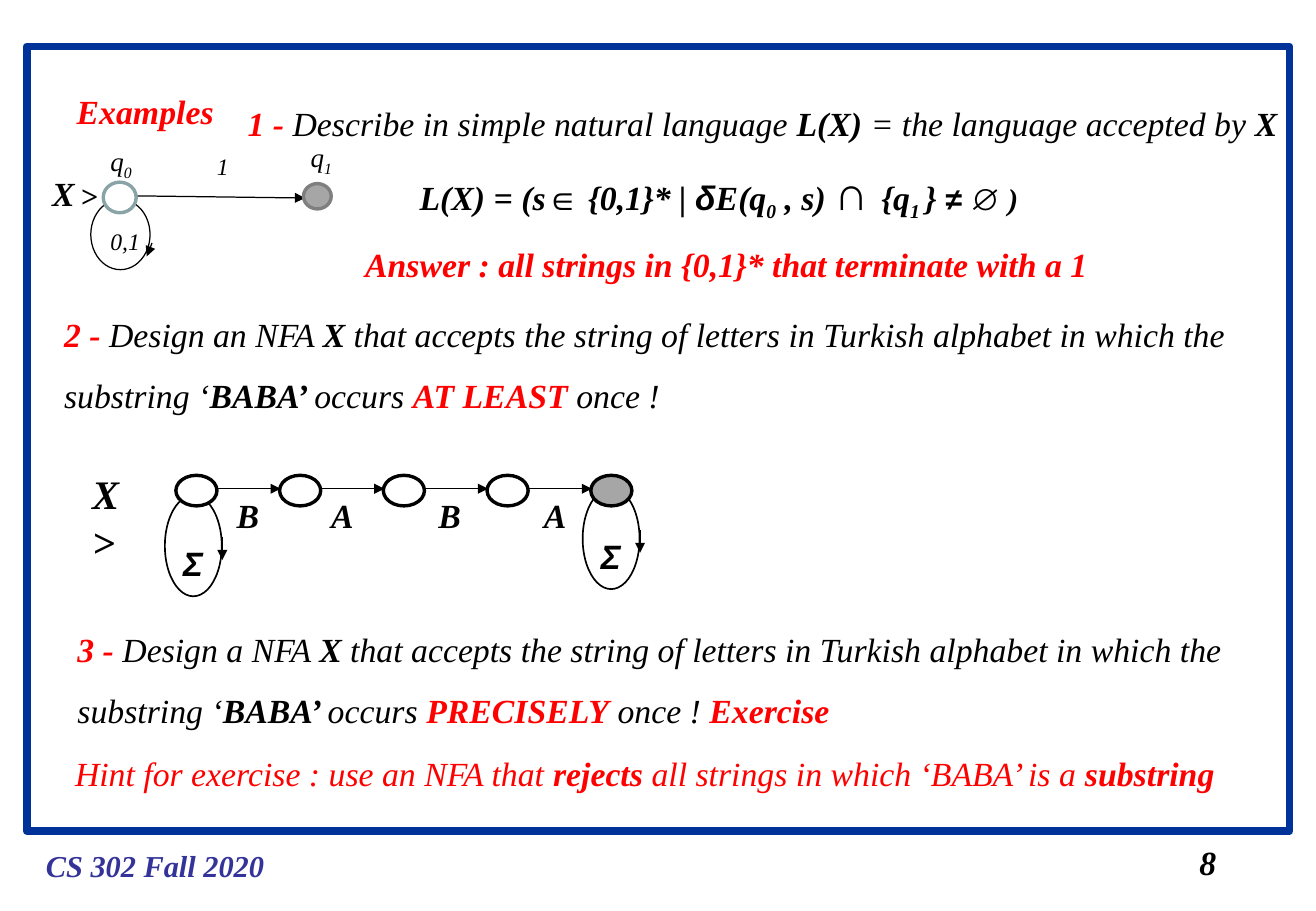
from dataclasses import dataclass

from lxml.etree import SubElement
from pptx import Presentation
from pptx.dml.color import RGBColor
from pptx.enum.shapes import MSO_CONNECTOR, MSO_SHAPE
from pptx.enum.text import MSO_ANCHOR, MSO_AUTO_SIZE, PP_ALIGN
from pptx.oxml.ns import qn
from pptx.util import Cm, Pt


@dataclass(frozen=True)
class Theme:
    serif: str = "Times New Roman"
    sans: str = "Arial"
    black: str = "000000"
    white: str = "FFFFFF"
    red: str = "FF0000"
    frame: str = "003399"
    footer: str = "333399"
    accept: str = "A6A6A6"
    accept_line: str = "7F7F7F"
    start_line: str = "89A4A7"
    small: int = 14
    state: int = 16
    medium: int = 18
    body: int = 20
    large: int = 24
    symbol: int = 28


T = Theme()


def add_text(runs, x, y, w, h, box=None, wrap=False, spacing=None, **base):
    box = box or s.shapes.add_textbox(0, 0, 0, 0)
    box.left, box.top, box.width, box.height = Cm(x), Cm(y), Cm(w), Cm(h)
    tf = box.text_frame
    tf.word_wrap = wrap
    tf.auto_size = MSO_AUTO_SIZE.SHAPE_TO_FIT_TEXT
    tf.vertical_anchor = MSO_ANCHOR.TOP
    p = tf.paragraphs[0]
    p.alignment = PP_ALIGN.LEFT
    if spacing:
        p.line_spacing = spacing
    for text, own in [(runs, {})] if isinstance(runs, str) else runs:
        fmt = dict(size=T.body, font=T.serif, color=T.black, bold=True, italic=True, sub=False) | base | own
        r = p.add_run()
        r.text = text
        r.font.name = fmt["font"]
        r.font.size = Pt(fmt["size"])
        r.font.bold = fmt["bold"]
        r.font.italic = fmt["italic"]
        r.font.color.rgb = RGBColor.from_string(fmt["color"])
        if fmt["sub"]:
            r.font._element.set("baseline", "-25000")


def add_outline(kind, x, y, w, h, line, width, fill=None):
    sp = s.shapes.add_shape(kind, Cm(x), Cm(y), Cm(w), Cm(h))
    sp.shadow.inherit = False
    sp.line.color.rgb = RGBColor.from_string(line)
    sp.line.width = Pt(width)
    if fill:
        sp.fill.solid()
        sp.fill.fore_color.rgb = RGBColor.from_string(fill)
    else:
        sp.fill.background()


prs = Presentation()
prs.slide_width, prs.slide_height = Cm(27.53), Cm(19.05)
s = prs.slides.add_slide(prs.slide_layouts[5])

plain = dict(bold=False)
red = dict(color=T.red)
sans = dict(font=T.sans)
sub = dict(sub=True)
oval = MSO_SHAPE.OVAL

add_outline(MSO_SHAPE.RECTANGLE, 0.56, 0.97, 26.42, 16.41, T.frame, 4.5)
add_text("CS 302 Fall 2020", 0.71, 17.6, 5.08, 1.02, size=T.medium, color=T.footer)
add_text("8", 24.84, 17.48, 0.86, 1.12)
add_text("Examples", 1.35, 1.78, 3.38, 1.12, box=s.shapes.title, color=T.red)

state_xs = [3.68 + 2.17 * i for i in range(5)]
sigma_loops = [(3.45, 10.36), (12.19, 10.21)]

arrows = [(2.39, 4.09, 6.38, 4.14), (3.18, 5.08, 3.07, 5.36)]
arrows += [(a + 0.82, 10.22, b + 0.02, 10.22) for a, b in zip(state_xs, state_xs[1:])]
arrows += [(x + 1.2, y + 0.87, x + 1.2, y + 1.35) for x, y in sigma_loops]

add_outline(oval, 1.9, 4.17, 1.24, 1.47, T.black, 0.75)
for x, y in sigma_loops:
    add_outline(oval, x, y, 1.19, 2.11, T.black, 1)
    add_text("Σ", x + 0.13, y + 0.86, 0.91, 1.12, font=T.sans)

for x1, y1, x2, y2 in arrows:
    c = s.shapes.add_connector(MSO_CONNECTOR.STRAIGHT, Cm(x1), Cm(y1), Cm(x2), Cm(y2))
    c.line.color.rgb = RGBColor.from_string(T.black)
    c.line.width = Pt(0.75)
    SubElement(c.line._get_or_add_ln(), qn("a:tailEnd"), type="triangle")
    SubElement(c._element.spPr, qn("a:effectLst"))

add_outline(oval, 2.16, 3.81, 0.69, 0.64, T.start_line, 2, T.white)
add_outline(oval, 6.35, 3.84, 0.58, 0.53, T.accept_line, 2, T.accept)
for x in state_xs:
    add_outline(oval, x, 9.94, 0.86, 0.64, T.black, 2, T.accept if x == state_xs[-1] else T.white)

add_text("X", 0.84, 3.48, 0.97, 1.12)
add_text(">", 1.45, 3.58, 0.86, 1.02, size=T.medium, italic=False)
add_text("1", 4.29, 3.05, 0.76, 0.86, size=T.small, bold=False)
add_text("0,1", 2.06, 4.62, 1.12, 0.86, size=T.small, bold=False)
for index, x, y in [("0", 2.06, 2.9), ("1", 6.25, 2.82)]:
    add_text([("q", {}), (index, sub)], x, y, 1.17, 1.04, wrap=True, size=T.state, bold=False)

add_text("X >", 1.68, 9.68, 1.75, 1.27, size=T.large)
for letter, x in zip("BABA", [4.7, 6.68, 8.92, 11.13]):
    add_text(letter, x, 10.22, 0.97, 1.12)

add_text([
    ("1 - ", red), ("Describe in simple natural language ", plain), ("L(X) ", {}),
    ("= the language accepted by ", plain), ("X", {}),
], 4.93, 1.6, 22.23, 1.52, spacing=1.5)

add_text([
    ("L(X) = (s", {}), ("∈", sans), (" {0,1}* | ", {}), ("δ", sans), ("E(q", {}), ("0", sub),
    (" , s) ", {}), ("∩ ", sans | dict(size=T.symbol, bold=False, italic=False)),
    ("{q", {}), ("1 ", sub), ("} ", {}), ("≠ ∅", sans | dict(size=T.medium)),
    (" )", dict(size=T.medium)),
], 8.53, 3.28, 13.5, 1.5, wrap=True)

add_text("Answer : all strings in {0,1}* that terminate with a 1", 7.39, 4.55, 15.8, 1.52,
         spacing=1.5, color=T.red)

task = "that accepts the string of letters in Turkish alphabet in which the substring ‘"
exercises = [
    ("2 - ", "Design an NFA ", [("AT LEAST ", red), ("once !", plain)], 1.09, 6.02, 25.37),
    ("3 - ", "Design a NFA ", [("PRECISELY", red), (" once ! ", plain), ("Exercise", red)], 1.37, 12.6, 25.93),
]
for number, opening, ending, x, y, w in exercises:
    add_text([
        (number, red), (opening, plain), ("X ", {}), (task, plain), ("BABA’ ", {}), ("occurs ", plain), *ending,
    ], x, y, w, 2.79, wrap=True, spacing=1.5)

add_text([
    ("Hint for exercise : use an NFA that ", plain), ("rejects", {}),
    (" all strings in which ‘BABA’ is a ", plain), ("substring", {}),
], 1.32, 15.19, 24.54, 1.52, wrap=True, spacing=1.5, color=T.red)

prs.save("out.pptx")
